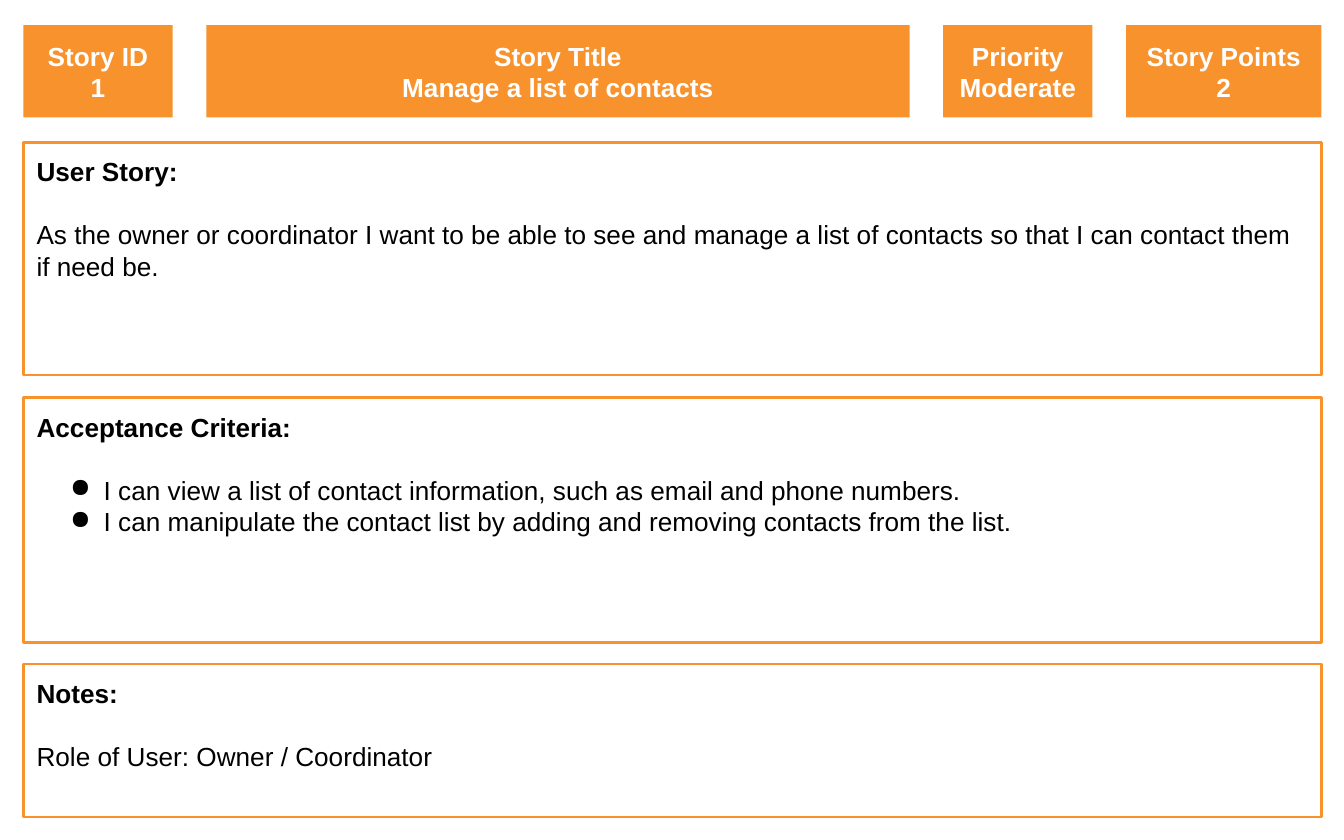
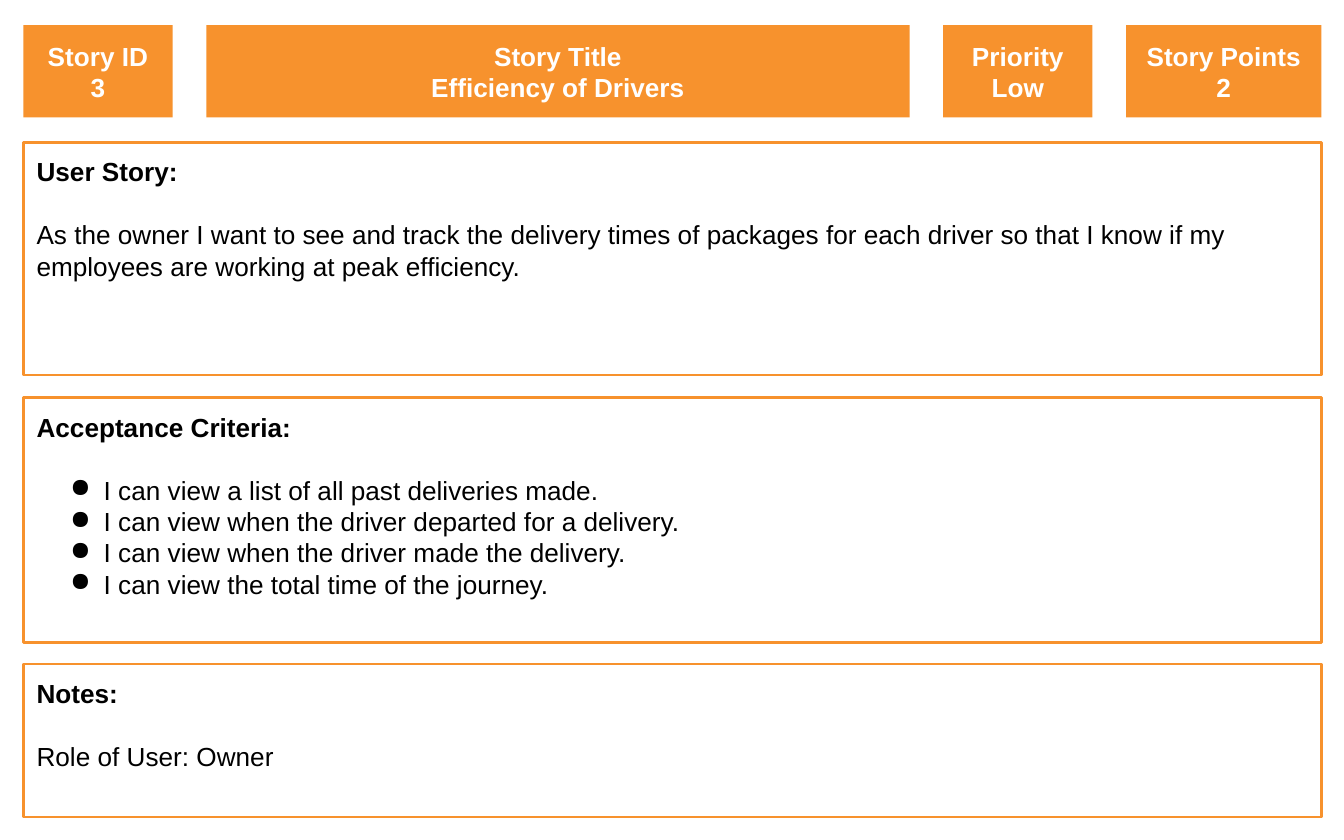
import pptx
import pptx.dml.color
import pptx.enum.shapes
import pptx.enum.text
import pptx.oxml.ns
import pptx.util
from lxml import etree

Pt = pptx.util.Pt
COLORS = {"orange": "F7922D", "white": "FFFFFF", "black": "000000"}
FONT, FONT_SIZE = "Arial", 14
LEFT, WIDTH = 12.5, 695.4
HEADER_TOP, HEADER_HEIGHT, HEADER_GAP = 13.5, 49.4, 18
HEADERS = [("Story ID", 80), ("Story Title", 376.8), ("Priority", 80), ("Story Points", 104.6)]
# heading, top, height, bulleted
PANELS = [
    ("User Story:", 76.3, 124.6, False),
    ("Acceptance Criteria:", 213.1, 131, True),
    ("Notes:", 355.7, 82.1, False),
]
STORIES = [
    {
        "header": ["1", "Manage a list of contacts", "Moderate", "2"],
        "panels": [
            ["As the owner or coordinator I want to be able to see and manage a list of "
             "contacts so that I can contact them if need be."],
            ["I can view a list of contact information, such as email and phone numbers.",
             "I can manipulate the contact list by adding and removing contacts from the list."],
            ["Role of User: Owner / Coordinator"],
        ],
    },
    {
        "header": ["3", "Efficiency of Drivers", "Low", "2"],
        "panels": [
            ["As the owner I want to see and track the delivery times of packages for each "
             "driver so that I know if my employees are working at peak efficiency."],
            ["I can view a list of all past deliveries made.",
             "I can view when the driver departed for a delivery.",
             "I can view when the driver made the delivery.",
             "I can view the total time of the journey."],
            ["Role of User: Owner"],
        ],
    },
]


def add_box(page, left, top, width, height, fill, text_color, lines, align, anchor):
    """Add a rectangle with one bold paragraph per line; return its paragraphs."""
    box = page.shapes.add_shape(pptx.enum.shapes.MSO_SHAPE.RECTANGLE,
                                Pt(left), Pt(top), Pt(width), Pt(height))
    box.shadow.inherit = False
    box.fill.solid()
    box.fill.fore_color.rgb = pptx.dml.color.RGBColor.from_string(COLORS[fill])
    if fill == "white":
        box.line.color.rgb = pptx.dml.color.RGBColor.from_string(COLORS["orange"])
        box.line.width = Pt(1.5)
    else:
        box.line.fill.background()
    frame = box.text_frame
    frame.word_wrap = True
    frame.vertical_anchor = anchor
    frame.margin_left = frame.margin_top = frame.margin_right = frame.margin_bottom = Pt(7.2)
    frame.text = "\n".join(lines)
    for para in frame.paragraphs:
        para.alignment = align
        para.font.name = FONT
        para.font.size = Pt(FONT_SIZE)
        para.font.bold = True
        para.font.color.rgb = pptx.dml.color.RGBColor.from_string(COLORS[text_color])
    return frame.paragraphs


def add_bullet(para):
    """Give a paragraph a hanging round bullet."""
    props = para._p.get_or_add_pPr()
    props.set("marL", str(Pt(36)))
    props.set("indent", str(-Pt(18)))
    bullet = etree.Element(pptx.oxml.ns.qn("a:buChar"), char="●")
    color = etree.Element(pptx.oxml.ns.qn("a:buClr"))
    etree.SubElement(color, pptx.oxml.ns.qn("a:srgbClr"), val=COLORS["black"])
    # The schema wants bullets before the default run properties
    defaults = props.find(pptx.oxml.ns.qn("a:defRPr"))
    defaults.addprevious(color)
    defaults.addprevious(bullet)


deck = pptx.Presentation()
deck.slide_width, deck.slide_height = Pt(720), Pt(450)
ALIGN, ANCHOR = pptx.enum.text.PP_ALIGN, pptx.enum.text.MSO_ANCHOR

for story in STORIES:
    page = deck.slides.add_slide(deck.slide_layouts[6])

    left = LEFT
    for (label, width), value in zip(HEADERS, story["header"]):
        add_box(page, left, HEADER_TOP, width, HEADER_HEIGHT, "orange", "white",
                [label, value], ALIGN.CENTER, ANCHOR.MIDDLE)
        left += width + HEADER_GAP

    for (heading, top, height, bulleted), lines in zip(PANELS, story["panels"]):
        title, *body = add_box(page, LEFT, top, WIDTH, height, "white", "black",
                               [heading, *lines], ALIGN.LEFT, ANCHOR.TOP)
        title.space_after = Pt(16.8)
        for para in body:
            para.font.bold = False
            if bulleted:
                add_bullet(para)

deck.save("out.pptx")
